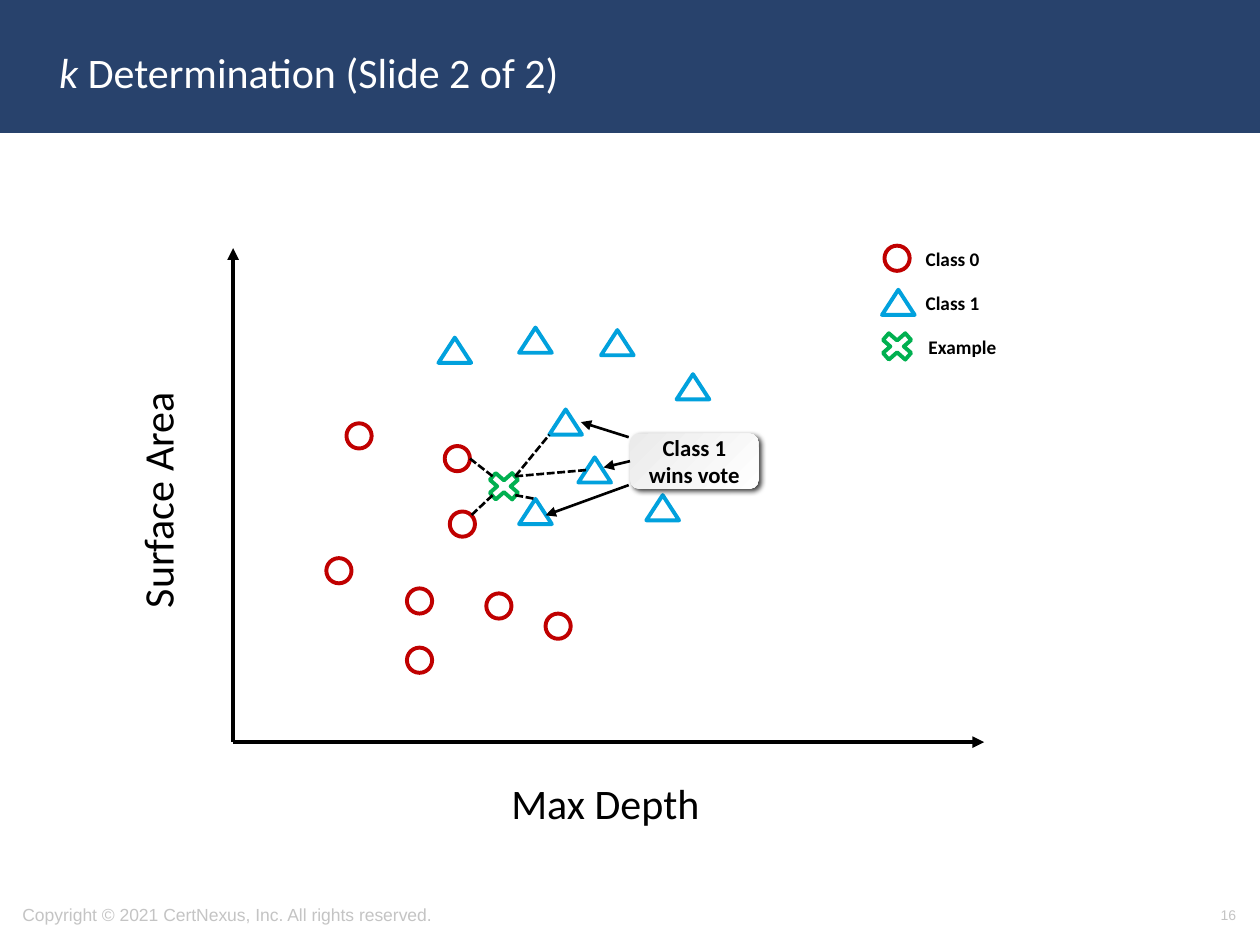
import pptx
import pptx.util
import pptx.dml.color
import pptx.enum.dml
import pptx.enum.shapes
import pptx.enum.text
import pptx.oxml
import pptx.oxml.ns

Inches = pptx.util.Inches
Pt = pptx.util.Pt
Shape = pptx.enum.shapes.MSO_SHAPE
Align = pptx.enum.text.PP_ALIGN
Anchor = pptx.enum.text.MSO_ANCHOR
AutoSize = pptx.enum.text.MSO_AUTO_SIZE

NAVY, GREY, BLACK, WHITE = "28426C", "C4C4C4", "000000", "FFFFFF"

# Marker kind: preset shape, width, height, outline colour
MARKERS = {
    "class 0": (Shape.OVAL, 0.2, 0.2, "C00000"),
    "class 1": (Shape.ISOSCELES_TRIANGLE, 0.26, 0.2, "01A1DD"),
    "example": (Shape.MATH_MULTIPLY, 0.34, 0.3, "00B050"),
}
# Left and top of every marker in the plot
POINTS = {
    "class 0": [(2.75, 3.36), (3.53, 3.54), (2.59, 4.43), (3.57, 4.06),
                (3.86, 4.71), (3.23, 4.67), (4.33, 4.87), (3.23, 5.14)],
    "class 1": [(4.36, 3.25), (4.59, 3.63), (5.37, 2.97), (3.48, 2.68), (4.12, 2.6),
                (4.77, 2.62), (4.12, 3.96), (5.13, 3.93)],
    "example": [(3.83, 3.71)],
}
ORIGIN = (1.85, 5.89)
AXIS_TIPS = [(1.85, 1.97), (7.81, 5.89)]
NEIGHBOUR_LINES = [
    ((3.91, 3.78), (3.73, 3.64)),
    ((3.91, 3.93), (3.74, 4.09)),
    ((4.09, 3.93), (4.25, 3.96)),
    ((4.09, 3.78), (4.36, 3.45)),
    ((4.09, 3.78), (4.66, 3.73)),
]
VOTE_ARROWS = [((4.61, 3.35), (4.99, 3.47)), ((4.33, 4.09), (4.99, 3.85))]
MIDDLE_VOTE = ((4.79, 3.71), (5, 3.66))
# Kind, marker left, label, label left, alignment
LEGEND = [
    ("class 0", 7.02, "Class 0", 7.12, Align.CENTER),
    ("class 1", 7.0, "Class 1", 7.12, Align.CENTER),
    ("example", 6.95, "Example", 7.27, Align.LEFT),
]
LEGEND_MIDDLE, LEGEND_STEP = 2.05, 0.35


def color(value):
    return pptx.dml.color.RGBColor.from_string(value)


class Painter:
    """Holds the deck's style and the page being drawn."""

    font = "Calibri"

    def __init__(self, page):
        self.page = page

    def set_text(self, box, spans, size, ink=BLACK, align=Align.LEFT, bold=False,
                 anchor=Anchor.TOP, font=None):
        """Fill a shape with one paragraph; spans are (text, italic) pairs."""
        frame = box.text_frame
        frame.vertical_anchor = anchor
        para = frame.paragraphs[0]
        para.alignment = align
        for text, italic in spans:
            span = para.add_run()
            span.text = text
            span.font.name = font or self.font
            span.font.size = Pt(size)
            span.font.bold = bold
            span.font.italic = italic
            span.font.color.rgb = color(ink)

    def title(self, place, spans):
        box = self.page.shapes.title
        box.left, box.top, box.width, box.height = map(Inches, place)
        box.text_frame.word_wrap = True
        box.text_frame.auto_size = AutoSize.NONE
        self.set_text(box, spans, 24, WHITE, anchor=Anchor.MIDDLE)

    def text(self, place, text, size, wrap=True, grow=False, **style):
        box = self.page.shapes.add_textbox(*map(Inches, place))
        box.text_frame.word_wrap = wrap
        if grow:
            box.text_frame.auto_size = AutoSize.SHAPE_TO_FIT_TEXT
        self.set_text(box, [(text, False)], size, **style)
        return box

    def band(self, place, fill):
        band = self.page.shapes.add_shape(Shape.RECTANGLE, *map(Inches, place))
        band.shadow.inherit = False
        band.fill.solid()
        band.fill.fore_color.rgb = color(fill)
        band.line.color.rgb = color(fill)
        band.line.width = Pt(2)
        # The band lies behind the title
        self.page.shapes.title.element.addprevious(band.element)

    def marker(self, kind, left, top):
        preset, width, height, ink = MARKERS[kind]
        marker = self.page.shapes.add_shape(preset, *map(Inches, (left, top, width, height)))
        marker.shadow.inherit = False
        marker.fill.background()
        marker.line.color.rgb = color(ink)
        marker.line.width = Pt(2.25)

    def line(self, start, end, width=1.5, arrow=False, dashed=False):
        """Draw a straight line; an arrow points at its start."""
        line = self.page.shapes.add_connector(
            pptx.enum.shapes.MSO_CONNECTOR.STRAIGHT, *map(Inches, start + end))
        line.line.color.rgb = color(BLACK)
        line.line.width = Pt(width)
        properties = line.element.spPr
        if dashed:
            line.line.dash_style = pptx.enum.dml.MSO_LINE.SQUARE_DOT
        if arrow:
            properties.find(pptx.oxml.ns.qn("a:ln")).append(pptx.oxml.parse_xml(
                f'<a:headEnd {pptx.oxml.ns.nsdecls("a")} type="triangle"/>'))
        properties.append(
            pptx.oxml.parse_xml(f'<a:effectLst {pptx.oxml.ns.nsdecls("a")}/>'))
        return line

    def callout(self, place, text):
        callout = self.page.shapes.add_shape(Shape.ROUNDED_RECTANGLE, *map(Inches, place))
        callout.line.fill.background()
        callout.fill.gradient()
        callout.fill.gradient_angle = 315
        for stop, shade in zip(callout.fill.gradient_stops, ("EBEBEB", WHITE)):
            stop.color.rgb = color(shade)
        callout.element.spPr.append(pptx.oxml.parse_xml(
            f'<a:effectLst {pptx.oxml.ns.nsdecls("a")}>'
            f'<a:outerShdw blurRad="{Pt(3)}" dist="{Pt(2)}" dir="2700000">'
            f'<a:srgbClr val="{BLACK}"><a:alpha val="75000"/></a:srgbClr>'
            '</a:outerShdw></a:effectLst>'))
        callout.text_frame.word_wrap = True
        self.set_text(callout, [(text, False)], 13, align=Align.CENTER, bold=True,
                      anchor=Anchor.MIDDLE)
        return callout


def main():
    deck = pptx.Presentation()
    deck.slide_width, deck.slide_height = Inches(10), Inches(7.5)
    painter = Painter(deck.slides.add_slide(deck.slide_layouts[5]))

    painter.band((0, 0, 10, 1.04), NAVY)
    painter.title((0.37, 0.11, 8.62, 0.92),
                  [("k", True), (" Determination (Slide 2 of 2)", False)])
    footer = {"ink": GREY, "font": "Arial", "anchor": Anchor.MIDDLE}
    painter.text((0.08, 7.06, 5.27, 0.4),
                 "Copyright © 2021 CertNexus, Inc. All rights reserved.", 10, **footer)
    painter.text((7.58, 7.06, 2.33, 0.4), "16", 8, align=Align.RIGHT, **footer)

    for tip in AXIS_TIPS:
        painter.line(tip, ORIGIN, width=2.25, arrow=True)
    painter.text((3.96, 6.12, 1.71, 0.5), "Max Depth", 24, wrap=False, grow=True)
    label = painter.text((0.28, 3.71, 1.93, 0.5), "Surface Area", 24, wrap=False, grow=True)
    label.rotation = 270

    for kind, places in POINTS.items():
        for left, top in places:
            painter.marker(kind, left, top)
    for start, end in NEIGHBOUR_LINES:
        painter.line(start, end, dashed=True)

    for start, end in VOTE_ARROWS:
        painter.line(start, end, arrow=True)
    callout = painter.callout((5, 3.44, 1.02, 0.44), "Class 1 wins vote")
    painter.line(*MIDDLE_VOTE, arrow=True).end_connect(callout, 1)

    for row, (kind, left, name, name_left, align) in enumerate(LEGEND):
        middle = LEGEND_MIDDLE + row * LEGEND_STEP
        painter.marker(kind, left, middle - MARKERS[kind][2] / 2)
        painter.text((name_left, middle - 0.14, 0.88, 0.29), name, 11, grow=True,
                     align=align, bold=True)

    deck.save("out.pptx")


if __name__ == "__main__":
    main()
